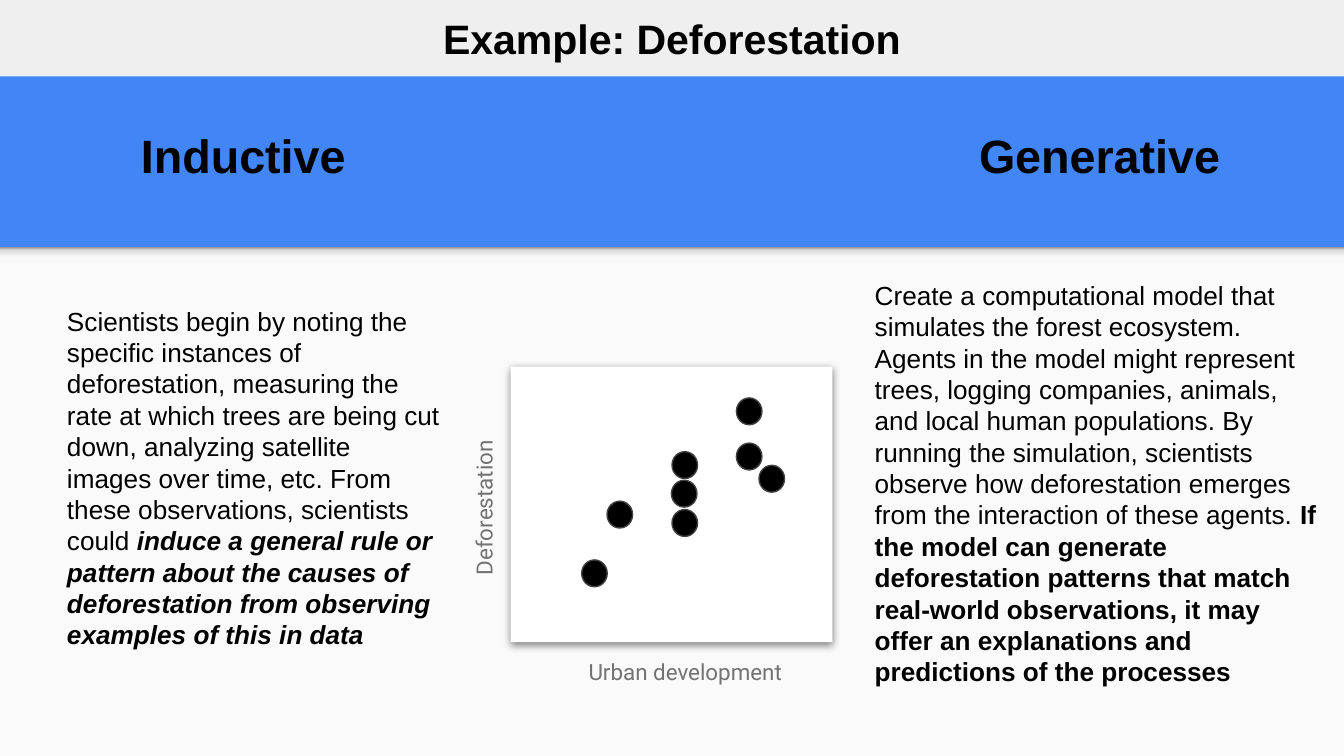
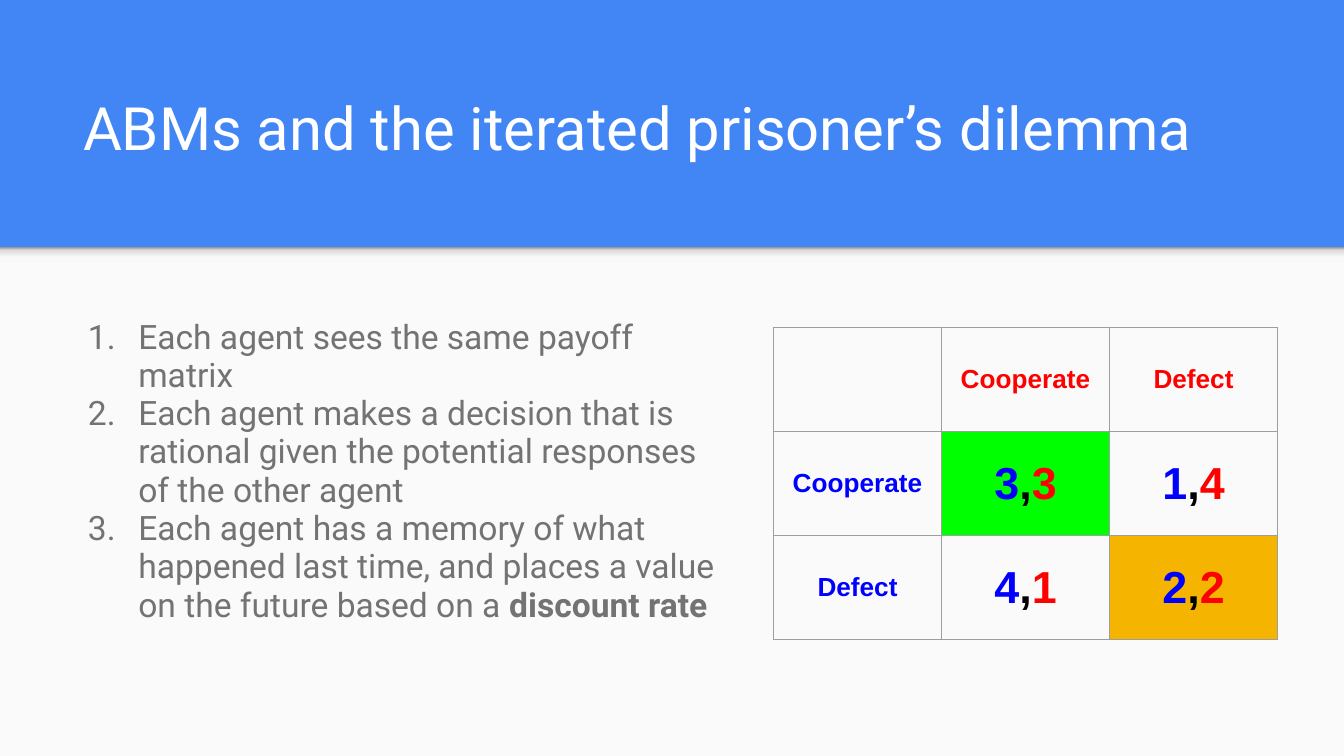
from dataclasses import dataclass
from typing import Any, Optional, Sequence

import lxml.etree
import pptx
import pptx.dml.color
import pptx.enum.shapes
import pptx.enum.text
import pptx.oxml.ns
import pptx.util

Pt = pptx.util.Pt
qn = pptx.oxml.ns.qn
Anchor = pptx.enum.text.MSO_ANCHOR
Align = pptx.enum.text.PP_ALIGN
Shape = pptx.enum.shapes.MSO_SHAPE


@dataclass(frozen=True)
class Theme:
    blue: str = "4285F4"
    page: str = "FAFAFA"
    bar: str = "EFEFEF"
    white: str = "FFFFFF"
    black: str = "000000"
    gray: str = "737373"
    dot_line: str = "424242"
    grid: str = "9E9E9E"
    row_player: str = "0000FF"
    column_player: str = "FF0000"
    cooperation: str = "00FF00"
    defection: str = "F4B400"
    sans: str = "Arial"
    display: str = "Roboto"
    title: float = 32
    heading: float = 25
    payoff: float = 24
    bar_title: float = 22
    listing: float = 18
    body: float = 14
    axis: float = 12
    inset: float = 7.2
    thin: float = 0.75


THEME = Theme()
WIDTH, HEIGHT = 720, 405
BAND_BOTTOM = 132.5


@dataclass(frozen=True)
class Box:
    left: float
    top: float
    width: float
    height: float

    def lengths(self) -> tuple:
        return Pt(self.left), Pt(self.top), Pt(self.width), Pt(self.height)


@dataclass(frozen=True)
class Run:
    text: str
    size: float
    color: str = THEME.black
    font: str = THEME.sans
    bold: bool = False
    italic: bool = False


@dataclass(frozen=True)
class TextBlock:
    box: Box
    paragraphs: Sequence[Sequence[Run]]
    align: Align = Align.LEFT
    anchor: Anchor = Anchor.TOP
    rotation: float = 0
    numbered: bool = False


def rgb(color: str) -> pptx.dml.color.RGBColor:
    return pptx.dml.color.RGBColor.from_string(color)


def add_element(parent: Any, tag: str, **attributes: Any) -> Any:
    values = {name: str(value) for name, value in attributes.items()}
    return lxml.etree.SubElement(parent, qn(tag), values)


def add_runs(paragraph: Any, runs: Sequence[Run]) -> None:
    for item in runs:
        run = paragraph.add_run()
        run.text = item.text
        run.font.name = item.font
        run.font.size = Pt(item.size)
        run.font.bold = item.bold
        run.font.italic = item.italic
        run.font.color.rgb = rgb(item.color)


def number_paragraph(paragraph: Any) -> None:
    properties = paragraph._p.get_or_add_pPr()
    properties.set("marL", str(Pt(36)))
    properties.set("indent", str(Pt(-27)))
    color = add_element(properties, "a:buClr")
    add_element(color, "a:srgbClr", val=THEME.gray)
    add_element(properties, "a:buFont", typeface=THEME.display)
    add_element(properties, "a:buAutoNum", type="arabicPeriod")
    paragraph.line_spacing = 0.95


def add_text(slide: Any, block: TextBlock) -> None:
    shape = slide.shapes.add_textbox(*block.box.lengths())
    shape.rotation = block.rotation
    frame = shape.text_frame
    frame.word_wrap = True
    frame.vertical_anchor = block.anchor
    frame.margin_left = frame.margin_right = Pt(THEME.inset)
    frame.margin_top = frame.margin_bottom = Pt(THEME.inset)
    for index, runs in enumerate(block.paragraphs):
        paragraph = frame.add_paragraph() if index else frame.paragraphs[0]
        if block.numbered:
            number_paragraph(paragraph)
        paragraph.alignment = block.align
        add_runs(paragraph, runs)


def add_filled(slide: Any, box: Box, fill: str, line: Optional[str] = None,
               kind: Shape = Shape.RECTANGLE) -> Any:
    shape = slide.shapes.add_shape(kind, *box.lengths())
    shape.shadow.inherit = False
    shape.fill.solid()
    shape.fill.fore_color.rgb = rgb(fill)
    if line:
        shape.line.color.rgb = rgb(line)
        shape.line.width = Pt(THEME.thin)
    else:
        shape.line.fill.background()
    return shape


def add_drop_shadow(shape: Any) -> None:
    effects = shape._element.spPr.find(qn("a:effectLst"))
    shadow = add_element(effects, "a:outerShdw", blurRad=Pt(4.5), dist=Pt(1.5),
                         dir=5400000, algn="bl", rotWithShape=0)
    color = add_element(shadow, "a:srgbClr", val=THEME.black)
    add_element(color, "a:alpha", val=50000)


def add_band_edge(slide: Any) -> None:
    """Draw the soft shade under the blue band, darkest at its top."""
    shape = add_filled(slide, Box(0, BAND_BOTTOM, WIDTH, 8.6), THEME.page)
    shape.fill.gradient()
    shape.fill.gradient_angle = 90
    stops = shape._element.spPr.find(qn("a:gradFill")).find(qn("a:gsLst"))
    for stop in list(stops):
        stops.remove(stop)
    for position, color in ((0, "F9F9F9"), (36, "F9F9F9"), (80, "DEDEDE"), (100, "999999")):
        stop = add_element(stops, "a:gs", pos=position * 1000)
        add_element(stop, "a:srgbClr", val=color)


def add_slide(presentation: Any) -> Any:
    slide = presentation.slides.add_slide(presentation.slide_layouts[6])
    slide.background.fill.solid()
    slide.background.fill.fore_color.rgb = rgb(THEME.blue)
    add_filled(slide, Box(0, BAND_BOTTOM, WIDTH, HEIGHT - BAND_BOTTOM), THEME.page)
    add_band_edge(slide)
    return slide


def add_scatter_sketch(slide: Any) -> None:
    add_drop_shadow(add_filled(slide, Box(273.6, 196.4, 172.4, 147.6), THEME.white))
    dots = ((360, 273), (394.5, 237.4), (325.2, 268.5), (394.5, 213.2),
            (360, 242), (311.6, 300), (406.6, 249.3), (359.7, 257.3))
    for left, top in dots:
        add_filled(slide, Box(left, top, 13.7, 14.4), THEME.black, THEME.dot_line, Shape.OVAL)
    labels = (("Deforestation", Box(213.1, 256.3, 90.7, 27.4), 270),
              ("Urban development", Box(308.2, 345.6, 120.2, 27.4), 0))
    for text, box, rotation in labels:
        run = Run(text, THEME.axis, THEME.gray, THEME.display)
        add_text(slide, TextBlock(box, [[run]], rotation=rotation))


def build_deforestation(presentation: Any) -> None:
    slide = add_slide(presentation)
    bar = Box(0, 0, WIDTH, 41)
    add_filled(slide, bar, THEME.bar)
    headings = (("Inductive", Box(29.5, 60.5, 201.6, 44.6), THEME.heading),
                ("Generative", Box(488.2, 60.5, 201.6, 44.6), THEME.heading),
                ("Example: Deforestation", bar, THEME.bar_title))
    for text, box, size in headings:
        add_text(slide, TextBlock(box, [[Run(text, size, bold=True)]], Align.CENTER))
    inductive = [
        Run("Scientists begin by noting the specific instances of deforestation, measuring "
            "the rate at which trees are being cut down, analyzing satellite images over time, "
            "etc. From these observations, scientists could ", THEME.body),
        Run("induce a general rule or pattern about the causes of deforestation from observing "
            "examples of this in data", THEME.body, bold=True, italic=True),
    ]
    generative = [
        Run("Create a computational model that simulates the forest ecosystem. Agents in the "
            "model might represent trees, logging companies, animals, and local human "
            "populations. By running the simulation, scientists observe how deforestation "
            "emerges from the interaction of these agents. ", THEME.body),
        Run("If the model can generate deforestation patterns that match real-world "
            "observations, it may offer an explanations and predictions of the processes",
            THEME.body, bold=True),
    ]
    add_text(slide, TextBlock(Box(28.8, 156.2, 214.6, 200.9), [inductive]))
    add_text(slide, TextBlock(Box(461.5, 142.4, 253.4, 235.4), [generative]))
    add_scatter_sketch(slide)


def label(text: str, color: str) -> list[Run]:
    return [Run(text, THEME.body, color, bold=True)]


def payoff(row_value: int, column_value: int) -> list[Run]:
    parts = ((str(row_value), THEME.row_player), (",", THEME.black),
             (str(column_value), THEME.column_player))
    return [Run(text, THEME.payoff, color, bold=True) for text, color in parts]


def style_cell(cell: Any, runs: Sequence[Run], fill: Optional[str]) -> None:
    properties = cell._tc.get_or_add_tcPr()
    for side in ("a:lnL", "a:lnR", "a:lnT", "a:lnB"):
        line = add_element(properties, side, w=Pt(THEME.thin))
        add_element(add_element(line, "a:solidFill"), "a:srgbClr", val=THEME.grid)
    if fill:
        cell.fill.solid()
        cell.fill.fore_color.rgb = rgb(fill)
    else:
        cell.fill.background()
    cell.vertical_anchor = Anchor.MIDDLE
    cell.margin_left = cell.margin_right = Pt(THEME.inset)
    cell.margin_top = cell.margin_bottom = Pt(THEME.inset)
    paragraph = cell.text_frame.paragraphs[0]
    paragraph.alignment = Align.CENTER
    add_runs(paragraph, runs)


def add_payoff_matrix(slide: Any) -> None:
    moves = ("Cooperate", "Defect")
    payoffs = (((3, 3), (1, 4)), ((4, 1), (2, 2)))
    fills = {(1, 1): THEME.cooperation, (2, 2): THEME.defection}
    rows = [[[]] + [label(move, THEME.column_player) for move in moves]]
    for move, values in zip(moves, payoffs):
        rows.append([label(move, THEME.row_player)] + [payoff(*pair) for pair in values])
    box = Box(414.4, 175.4, 270, 167.4)
    table = slide.shapes.add_table(3, 3, *box.lengths()).table
    table.first_row = table.horz_banding = False
    for row_index, row in enumerate(rows):
        for column_index, runs in enumerate(row):
            style_cell(table.cell(row_index, column_index), runs,
                       fills.get((row_index, column_index)))


def build_dilemma(presentation: Any) -> None:
    slide = add_slide(presentation)
    title = Run("ABMs and the iterated prisoner’s dilemma", THEME.title, THEME.white,
                THEME.display)
    add_text(slide, TextBlock(Box(37.4, 33.8, 647.3, 60.5), [[title]], anchor=Anchor.BOTTOM))
    steps = (("Each agent sees the same payoff matrix", ""),
             ("Each agent makes a decision that is rational given the potential responses "
              "of the other agent", ""),
             ("Each agent has a memory of what happened last time, and places a value on "
              "the future based on a ", "discount rate"))
    paragraphs = [[Run(text, THEME.listing, THEME.gray, THEME.display, bold)
                   for text, bold in ((plain, False), (strong, True)) if text]
                  for plain, strong in steps]
    add_text(slide, TextBlock(Box(31, 163.4, 359.3, 200.9), paragraphs, numbered=True))
    add_payoff_matrix(slide)


def main() -> None:
    presentation = pptx.Presentation()
    presentation.slide_width = Pt(WIDTH)
    presentation.slide_height = Pt(HEIGHT)
    build_deforestation(presentation)
    build_dilemma(presentation)
    presentation.save("out.pptx")


if __name__ == "__main__":
    main()
